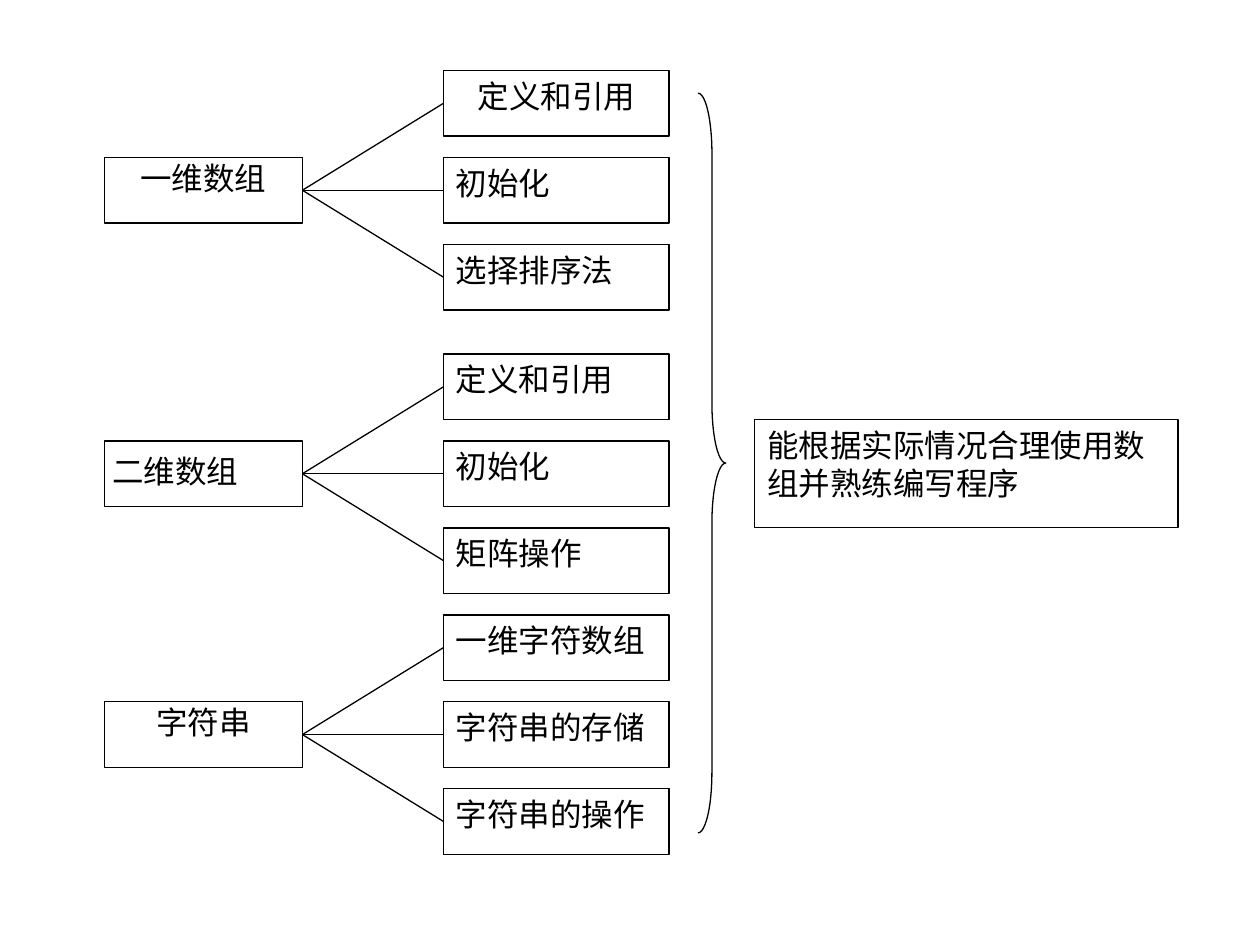
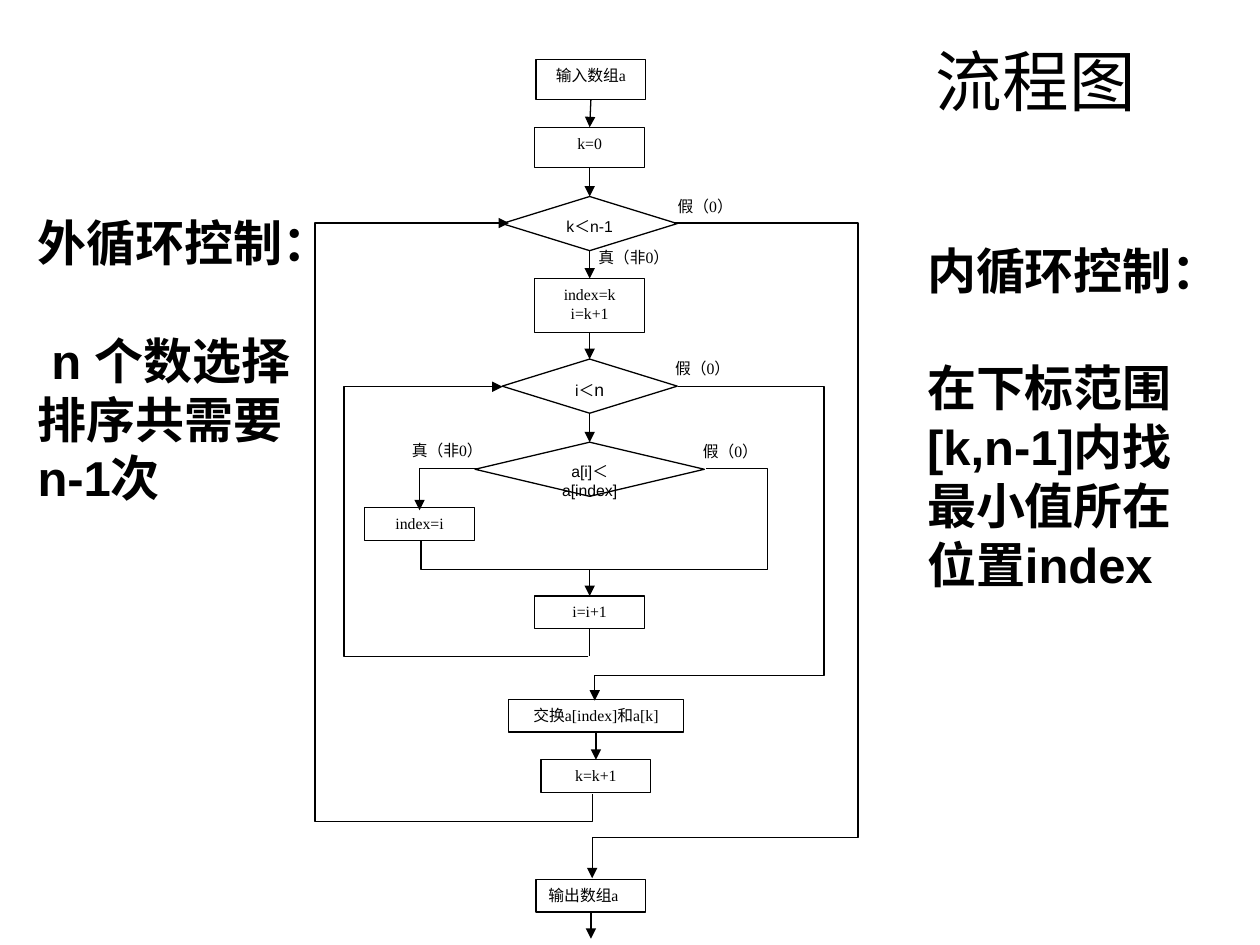
"""Two slides: a chapter map of arrays and the flow chart of selection sort."""
from lxml import etree
from pptx import Presentation, util as u
from pptx.dml.color import RGBColor
from pptx.enum import shapes, text
from pptx.oxml.ns import qn

BLACK = RGBColor(0, 0, 0)
WHITE = RGBColor(255, 255, 255)
SERIF, SANS = "Times New Roman", "Arial"
LEFT, CENTER, JUSTIFY = text.PP_ALIGN.LEFT, text.PP_ALIGN.CENTER, text.PP_ALIGN.JUSTIFY
RECT, DIAMOND = shapes.MSO_SHAPE.RECTANGLE, shapes.MSO_SHAPE.DIAMOND
PROCESS, BRACE = shapes.MSO_SHAPE.FLOWCHART_PROCESS, shapes.MSO_SHAPE.RIGHT_BRACE
TOP, BOTTOM = 0, 2
INSETS = (0.1, 0.05, 0.1, 0.05)

TOPICS = [
    ("一维数组", CENTER, 0.01, ["定义和引用", "初始化", "选择排序法"]),
    ("二维数组", LEFT, 0.09, ["定义和引用", "初始化", "矩阵操作"]),
    ("字符串", CENTER, 0.01, ["一维字符数组", "字符串的存储", "字符串的操作"]),
]
GOAL = "能根据实际情况合理使用数组并熟练编写程序"
TOPIC_X, TOPIC_W = 0.83, 1.57
ITEM_X, ITEM_W, ITEM_H = 3.52, 1.79, 0.52
FIRST_ROW, ROW_PITCH, GROUP_GAP = 0.56, 0.69, 0.18

TITLE = "流程图"
STEPS = {
    "input": (RECT, 4.69, 0.47, 0.87, 0.32, "输入数组a"),
    "k=0": (RECT, 4.68, 1.01, 0.87, 0.32, "k=0"),
    "outer": (DIAMOND, 4.68, 1.56, 1.39, 0.43, "k＜n-1"),
    "start": (RECT, 4.68, 2.21, 0.87, 0.43, "index=k\ni=k+1"),
    "inner": (DIAMOND, 4.68, 2.85, 1.39, 0.43, "i＜"),
    "less": (DIAMOND, 4.68, 3.51, 1.82, 0.43, "a[i]＜a[index]"),
    "index=i": (RECT, 3.33, 4.03, 0.87, 0.26, "index=i"),
    "i+1": (RECT, 4.68, 4.73, 0.87, 0.26, "i=i+1"),
    "swap": (RECT, 4.73, 5.55, 1.39, 0.26, "交换a[index]和a[k]"),
    "k+1": (RECT, 4.73, 6.03, 0.87, 0.26, "k=k+1"),
    "output": (RECT, 4.69, 6.98, 0.87, 0.26, "输出数组a"),
}
ARROWS = [("input", "k=0"), ("k=0", "outer"), ("outer", "start"),
          ("start", "inner"), ("inner", "less"), ("swap", "k+1")]
ROUTES = [
    (True, [(3.8, 3.72), (3.33, 3.72), (3.33, 4.05)]),
    (False, [(3.34, 4.29), (3.34, 4.52), (6.09, 4.52), (6.09, 3.72), (5.6, 3.72)]),
    (True, [(5.38, 3.07), (6.54, 3.07), (6.54, 5.36), (4.72, 5.36), (4.72, 5.56)]),
    (True, [(4.7, 6.3), (4.7, 6.52), (2.5, 6.52), (2.5, 1.77), (4.04, 1.77)]),
    (True, [(5.35, 1.77), (6.81, 1.77), (6.81, 6.65), (4.7, 6.65), (4.7, 6.97)]),
    (True, [(4.67, 5.21), (2.73, 5.21), (2.73, 3.07), (3.99, 3.07)]),
]
FALSE, TRUE = ("假（0）", 0.66), ("真（非0）", 0.87)
BRANCHES = [(FALSE, 5.28, 1.51), (FALSE, 5.26, 2.8), (FALSE, 5.48, 3.46),
            (TRUE, 4.65, 1.92), (TRUE, 3.17, 3.45)]
NOTES = [
    (0.2, 1.64, 2.44, ["外循环控制：", "n 个数选择", "排序共需要", "n-1次"], 0.11),
    (7.26, 1.86, 2.9, ["内循环控制：", "在下标范围", "[k,n-1]内找", "最小值所在", "位置index"], 0),
]


def write(s, words, size, font=SERIF, align=LEFT, insets=INSETS, wrap=True, bold=False):
    tf = s.text_frame
    tf.text = words
    tf.word_wrap = wrap
    tf.vertical_anchor = text.MSO_ANCHOR.TOP
    tf.margin_left, tf.margin_top, tf.margin_right, tf.margin_bottom = map(u.Inches, insets)
    for p in tf.paragraphs:
        p.alignment = align
        for r in p.runs:
            style(r, size, font, bold)
    return tf


def style(r, size, font, bold=False):
    r.font.size, r.font.name, r.font.bold = u.Pt(size), font, bold
    r.font.color.rgb = BLACK


def stroke(s, arrow=False):
    s.line.color.rgb = BLACK
    s.line.width = u.Pt(0.75)
    sp = s._element.spPr
    if arrow:
        etree.SubElement(sp.find(qn("a:ln")), qn("a:tailEnd"), type="triangle")
    etree.SubElement(sp, qn("a:effectLst"))


def shape(slide, kind, x, y, w, h, fill=None):
    s = slide.shapes.add_shape(kind, *map(u.Inches, (x, y, w, h)))
    if fill is None:
        s.fill.background()
    else:
        s.fill.solid()
        s.fill.fore_color.rgb = fill
    stroke(s)
    return s


def textbox(slide, x, y, w, h):
    return slide.shapes.add_textbox(*map(u.Inches, (x, y, w, h)))


def connect(slide, begin=None, end=None, begin_side=BOTTOM, end_side=TOP, free=(0, 0), arrow=True):
    x, y = map(u.Inches, free)
    c = slide.shapes.add_connector(shapes.MSO_CONNECTOR.STRAIGHT, x, y, x, y)
    if begin is not None:
        c.begin_connect(begin, begin_side)
    if end is not None:
        c.end_connect(end, end_side)
    stroke(c, arrow)


def route(slide, points, arrow):
    pts = [(u.Inches(x), u.Inches(y)) for x, y in points]
    fb = slide.shapes.build_freeform(*pts[0])
    fb.add_line_segments(pts[1:], close=False)
    s = fb.convert_to_shape()
    s.fill.background()
    stroke(s, arrow)


def chapter_map(slide):
    for g, (name, align, inset, items) in enumerate(TOPICS):
        top = FIRST_ROW + 3 * g * ROW_PITCH + (GROUP_GAP if g else 0)
        topic = shape(slide, PROCESS, TOPIC_X, top + ROW_PITCH, TOPIC_W, ITEM_H, WHITE)
        write(topic, name, 18, align=align, insets=(0.06, inset, 0.06, 0.01))
        for i, item in enumerate(items):
            s = shape(slide, PROCESS, ITEM_X, top + i * ROW_PITCH, ITEM_W, ITEM_H, WHITE)
            write(s, item, 18, align=CENTER if g == i == 0 else LEFT)
            connect(slide, topic, s, 3, 1, arrow=False)
    brace = shape(slide, BRACE, 5.54, 0.74, 0.22, 5.87)
    brace.adjustments[0] = 2.18
    write(shape(slide, RECT, 5.99, 3.33, 3.36, 0.86, WHITE), GOAL, 18)


def flow_chart(slide):
    title = write(textbox(slide, 7.33, 0.33, 2.42, 0.67), TITLE, 38)
    title.vertical_anchor = text.MSO_ANCHOR.BOTTOM
    steps = {}
    for key, (kind, cx, y, w, h, words) in STEPS.items():
        s = steps[key] = shape(slide, kind, cx - w / 2, y, w, h)
        write(s, words, 9, SANS if kind == DIAMOND else SERIF,
              JUSTIFY if key == "output" else CENTER)
    r = steps["inner"].text_frame.paragraphs[0].add_run()
    r.text = "n"
    style(r, 10, SANS)
    for a, b in ARROWS:
        connect(slide, steps[a], steps[b])
    connect(slide, end=steps["i+1"], free=(4.68, 4.52))
    connect(slide, steps["i+1"], free=(4.68, 5.21), arrow=False)
    connect(slide, steps["output"], free=(4.69, 7.45))
    for arrow, points in ROUTES:
        route(slide, points, arrow)
    for (words, w), x, y in BRANCHES:
        write(textbox(slide, x, y, w, 0.32), words, 9, align=JUSTIFY)
    for x, y, h, lines, indent in NOTES:
        tf = write(textbox(slide, x, y, 2.53, h), "\n".join(lines), 28, SANS, wrap=False, bold=True)
        p = tf.paragraphs[1]
        p.space_before = u.Pt(33.5)
        if indent:
            p._p.get_or_add_pPr().set("indent", str(u.Inches(indent)))


def main():
    prs = Presentation()
    prs.slide_width, prs.slide_height = u.Inches(10), u.Inches(7.5)
    for draw in (chapter_map, flow_chart):
        draw(prs.slides.add_slide(prs.slide_layouts[6]))
    prs.save("out.pptx")


if __name__ == "__main__":
    main()
